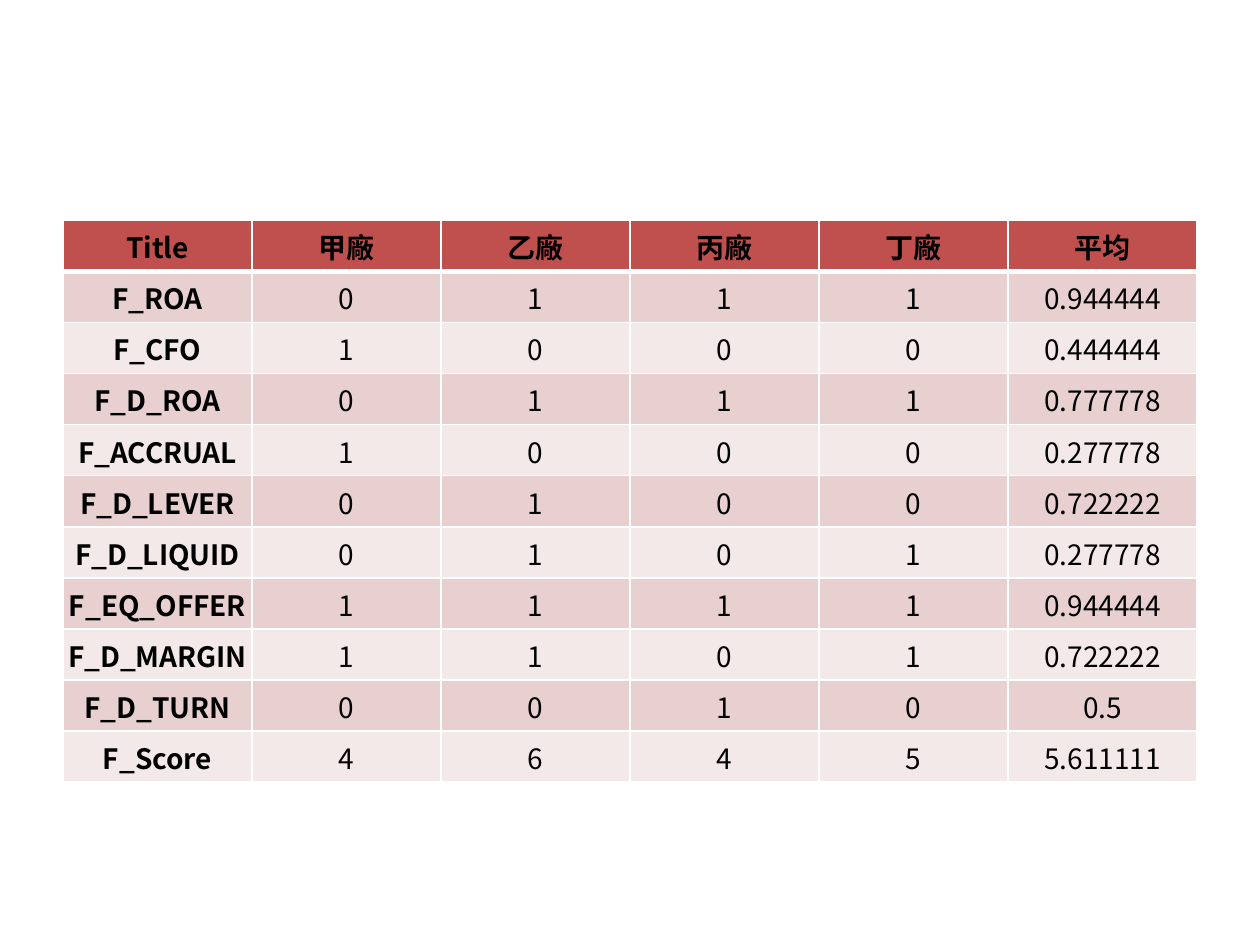
import pptx
import pptx.util
import pptx.dml.color
import pptx.enum.text
import pptx.oxml.ns
import lxml.etree

RED = pptx.dml.color.RGBColor(0xC0, 0x50, 0x4D)
ROSE = pptx.dml.color.RGBColor(0xE8, 0xD0, 0xD0)
BLUSH = pptx.dml.color.RGBColor(0xF4, 0xE9, 0xE9)
BLACK = pptx.dml.color.RGBColor(0x00, 0x00, 0x00)
WHITE = pptx.dml.color.RGBColor(0xFF, 0xFF, 0xFF)
FONT = "Noto Sans CJK TC"

SCORES = [
    ["Title", "甲廠", "乙廠", "丙廠", "丁廠", "平均"],
    ["F_ROA", "0", "1", "1", "1", "0.944444"],
    ["F_CFO", "1", "0", "0", "0", "0.444444"],
    ["F_D_ROA", "0", "1", "1", "1", "0.777778"],
    ["F_ACCRUAL", "1", "0", "0", "0", "0.277778"],
    ["F_D_LEVER", "0", "1", "0", "0", "0.722222"],
    ["F_D_LIQUID", "0", "1", "0", "1", "0.277778"],
    ["F_EQ_OFFER", "1", "1", "1", "1", "0.944444"],
    ["F_D_MARGIN", "1", "1", "0", "1", "0.722222"],
    ["F_D_TURN", "0", "0", "1", "0", "0.5"],
    ["F_Score", "4", "6", "4", "5", "5.611111"],
]


def add_child(parent, tag, **attributes):
    """Append a DrawingML element to parent and return it."""
    return lxml.etree.SubElement(parent, pptx.oxml.ns.qn(tag), attributes)


def set_borders(cell, top, bottom):
    """Draw white cell borders; top and bottom are widths in points."""
    properties = cell._tc.get_or_add_tcPr()
    for side, width in zip("LRTB", (1, 1, top, bottom)):
        line = add_child(properties, "a:ln" + side, w=str(pptx.util.Pt(width)))
        add_child(add_child(line, "a:solidFill"), "a:srgbClr", val=str(WHITE))


deck = pptx.Presentation()
deck.slide_width = pptx.util.Inches(10)
deck.slide_height = pptx.util.Inches(7.5)
page = deck.slides.add_slide(deck.slide_layouts[6])

row_count, column_count = len(SCORES), len(SCORES[0])
left = int(deck.slide_width * 0.05)
width = deck.slide_width - 2 * left
height = pptx.util.Inches(4.46)
table = page.shapes.add_table(
    row_count, column_count, left, pptx.util.Inches(1.75), width, height
).table

for row_index, values in enumerate(SCORES):
    is_header = row_index == 0
    fill_color = RED if is_header else (BLUSH, ROSE)[row_index % 2]
    for column_index, value in enumerate(values):
        cell = table.cell(row_index, column_index)
        set_borders(cell, 3 if row_index == 1 else 1, 3 if is_header else 1)
        cell.fill.solid()
        cell.fill.fore_color.rgb = fill_color
        cell.vertical_anchor = pptx.enum.text.MSO_ANCHOR.MIDDLE
        cell.margin_left = cell.margin_right = cell.margin_top = pptx.util.Inches(0.01)
        cell.margin_bottom = 0

        para = cell.text_frame.paragraphs[0]
        para.text = value
        para.alignment = pptx.enum.text.PP_ALIGN.CENTER
        span = para.runs[0]
        span.font.size = pptx.util.Pt(16)
        span.font.bold = is_header or column_index == 0
        span.font.color.rgb = BLACK
        span.font.name = FONT
        add_child(span.font._element, "a:ea", typeface=FONT)

deck.save("out.pptx")
